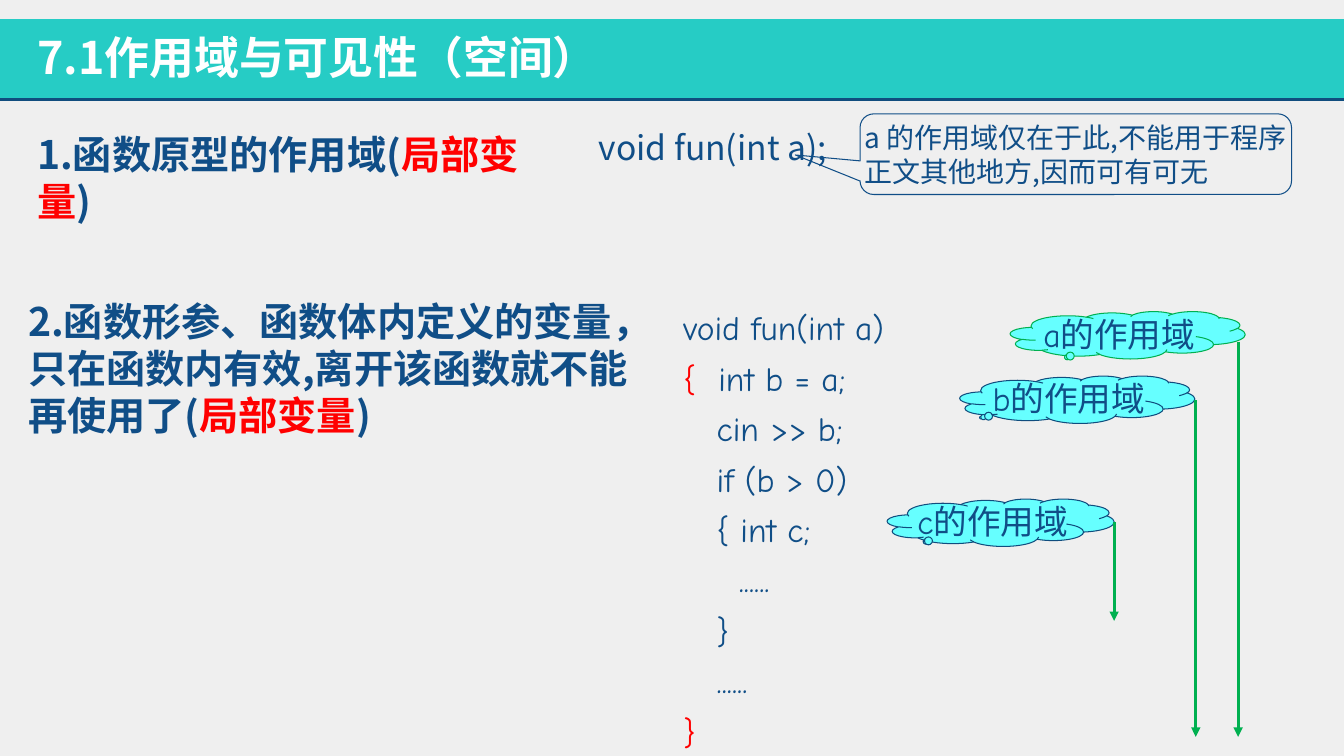
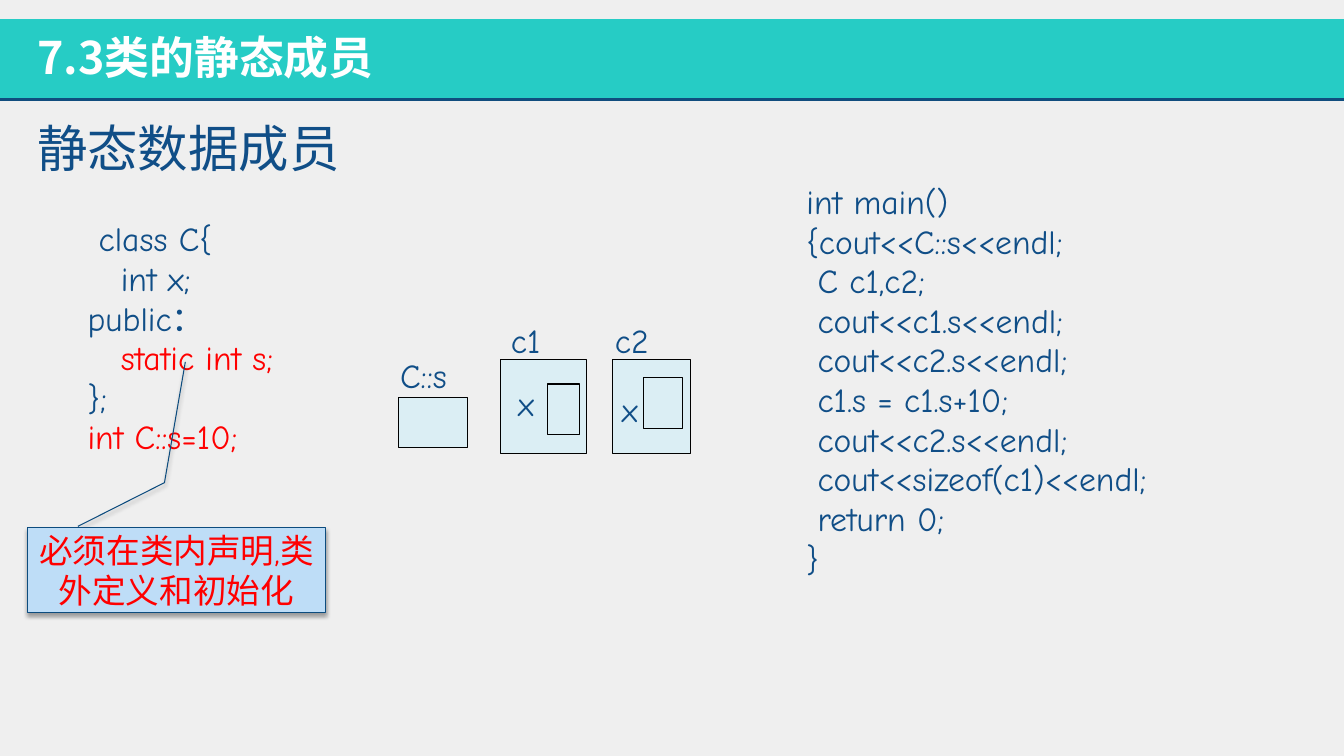
from dataclasses import dataclass

from lxml.etree import SubElement
from pptx import Presentation
from pptx.dml.color import RGBColor
from pptx.enum.shapes import MSO_CONNECTOR, MSO_SHAPE
from pptx.enum.text import MSO_ANCHOR, PP_ALIGN
from pptx.oxml.ns import qn
from pptx.util import Inches, Pt


@dataclass(frozen=True)
class Theme:
    # Colours
    background: str = "EFEFEF"
    band: str = "26CCC5"
    rule: str = "104D7E"
    ink: str = "104E87"
    accent: str = "FF0000"
    title_ink: str = "FFFFFF"
    cloud: str = "66FFFF"
    scope: str = "00B050"
    memory: str = "DBEEF4"
    memory_edge: str = "000000"
    note: str = "BEDDF7"
    note_edge: str = "0D4C7E"
    # Fonts
    sans: str = "Noto Sans CJK JP"
    hand: str = "Comic Neue"
    # Sizes in points
    title: int = 32
    topic: int = 36
    point: int = 28
    body: int = 24
    remark: int = 20
    hairline: float = 0.75
    # Width of one code indent step, in inches
    indent: float = 0.11


class Deck:
    """Holds the style and the slide being built."""

    def __init__(self, theme):
        self.theme = theme
        self.prs = Presentation()
        self.prs.slide_width, self.prs.slide_height = Inches(13.33), Inches(7.5)
        self.slide = None

    def new_slide(self, title):
        t = self.theme
        self.slide = self.prs.slides.add_slide(self.prs.slide_layouts[6])
        fill = self.slide.background.fill
        fill.solid()
        fill.fore_color.rgb = RGBColor.from_string(t.background)
        self.shape(MSO_SHAPE.RECTANGLE, (0, 0.19, 13.33, 0.8), t.band)
        self.line((0, 0.99), (13.33, 0.99), t.rule, 2)
        self.text((0.27, 0.25, 8.78, 0.64), [(title, t.title_ink)],
                  t.title, t.sans, bold=True)

    def add_runs(self, paragraph, runs, size, font, bold=False):
        """Each run is a text and its colour."""
        for words, colour in runs:
            run = paragraph.add_run()
            run.text = words
            run.font.size, run.font.bold, run.font.name = Pt(size), bold, font
            run.font.color.rgb = RGBColor.from_string(colour)
            east_asian = SubElement(run.font._element, qn("a:ea"))
            east_asian.set("typeface", self.theme.sans)

    def frame(self, box):
        frame = self.slide.shapes.add_textbox(*map(Inches, box)).text_frame
        frame.word_wrap = True
        return frame

    def text(self, box, runs, size, font, bold=False):
        self.add_runs(self.frame(box).paragraphs[0], runs, size, font, bold)

    def code(self, box, lines, spacing, before=0):
        """Each line is its indent steps followed by its runs."""
        frame = self.frame(box)
        for number, (steps, *runs) in enumerate(lines):
            paragraph = frame.add_paragraph() if number else frame.paragraphs[0]
            paragraph.line_spacing = spacing
            paragraph.space_before = Pt(before)
            left = Inches(steps * self.theme.indent)
            paragraph._p.get_or_add_pPr().set("marL", str(left))
            self.add_runs(paragraph, runs, self.theme.body, self.theme.hand)

    def shape(self, kind, box, fill=None, edge=None, adjust=()):
        shape = self.slide.shapes.add_shape(kind, *map(Inches, box))
        shape.shadow.inherit = False
        for index, value in enumerate(adjust):
            shape.adjustments[index] = value
        if fill:
            shape.fill.solid()
            shape.fill.fore_color.rgb = RGBColor.from_string(fill)
        else:
            shape.fill.background()
        if edge:
            shape.line.color.rgb = RGBColor.from_string(edge)
            shape.line.width = Pt(self.theme.hairline)
        else:
            shape.line.fill.background()
        return shape

    def label(self, shape, runs, size, font, align=PP_ALIGN.CENTER, wrap=True):
        frame = shape.text_frame
        frame.word_wrap = wrap
        frame.vertical_anchor = MSO_ANCHOR.MIDDLE
        frame.paragraphs[0].alignment = align
        self.add_runs(frame.paragraphs[0], runs, size, font)

    def line(self, start, end, colour, width, arrow=False):
        line = self.slide.shapes.add_connector(
            MSO_CONNECTOR.STRAIGHT, *map(Inches, (*start, *end)))
        line.line.color.rgb = RGBColor.from_string(colour)
        line.line.width = Pt(width)
        if arrow:
            SubElement(line.line._get_or_add_ln(), qn("a:tailEnd")).set("type", "triangle")
        SubElement(line._element.spPr, qn("a:effectLst"))

    def scope(self, name, cloud_box, edge, pointer, start, end):
        """A cloud naming a variable and the arrow over its scope."""
        t = self.theme
        cloud = self.shape(MSO_SHAPE.CLOUD_CALLOUT, cloud_box, t.cloud, edge, pointer)
        self.label(cloud, [(name + "的作用域", t.ink)], t.body, t.hand, wrap=False)
        self.line(start, end, t.scope, 2.25, arrow=True)

    def memory(self, box):
        self.shape(MSO_SHAPE.RECTANGLE, box, self.theme.memory, self.theme.memory_edge)

    def cast_shadow(self, shape):
        effects = shape._element.spPr.find(qn("a:effectLst"))
        shadow = SubElement(effects, qn("a:outerShdw"), blurRad=str(Pt(3.1)),
                            dist=str(Pt(1.8)), dir="5400000", rotWithShape="0")
        black = SubElement(shadow, qn("a:srgbClr"), val="000000")
        SubElement(black, qn("a:alpha"), val="35000")


def build_scope_slide(deck):
    t = deck.theme
    deck.new_slide("7.1作用域与可见性（空间）")

    # Scope of a function prototype
    deck.text((5.84, 1.21, 3.59, 0.5), [("void fun(int a);", t.ink)], t.body, t.sans)
    deck.text((0.27, 1.24, 5.44, 0.57),
              [("1.函数原型的作用域(", t.ink), ("局部变量", t.accent), (")", t.ink)],
              t.point, t.sans, bold=True)
    remark = deck.shape(MSO_SHAPE.ROUNDED_RECTANGULAR_CALLOUT, (8.53, 1.13, 4.28, 0.8),
                        edge=t.ink, adjust=(-0.65, 0.01, 0.17))
    remark.text_frame.margin_left = remark.text_frame.margin_right = 0
    deck.label(remark, [("a 的作用域仅在于此,不能用于程序正文其他地方,因而可有可无", t.ink)],
               t.remark, t.sans, PP_ALIGN.LEFT)

    # Scope of parameters and local variables
    deck.text((0.18, 2.9, 6.27, 1.51),
              [("2.函数形参、函数体内定义的变量，只在函数内有效,离开该函数就不能再使用了(", t.ink),
               ("局部变量", t.accent), (")", t.ink)],
              t.point, t.sans, bold=True)
    deck.code((6.68, 2.9, 6.77, 4.6), [
        (0, ("void fun(int a)", t.ink)),
        (0, ("{ ", t.accent), (" int b = a;", t.ink)),
        (3, ("cin >> b;", t.ink)),
        (3, ("if (b > 0)", t.ink)),
        (3, ("{ int c;", t.ink)),
        (5, ("......", t.ink)),
        (3, ("}", t.ink)),
        (3, ("......", t.ink)),
        (0, ("}", t.accent)),
    ], Pt(36))

    # Extent of each variable
    deck.scope("a", (10.02, 3.09, 2.33, 0.47), t.scope, (-0.26, 0.47),
               (12.28, 3.39), (12.28, 7.31))
    deck.scope("b", (9.52, 3.73, 2.33, 0.47), t.rule, (-0.41, 0.38),
               (11.86, 3.97), (11.86, 7.31))
    deck.scope("c", (8.8, 4.95, 2.25, 0.47), t.rule, (-0.33, 0.4),
               (11.05, 5.18), (11.05, 6.16))


def build_static_slide(deck):
    t = deck.theme
    deck.new_slide("7.3类的静态成员")
    deck.text((0.27, 1.11, 4.24, 0.71), [("静态数据成员", t.ink)], t.topic, t.hand)

    # Class definition
    deck.code((0.77, 2.16, 3.75, 2.48), [
        (1, ("class C{", t.ink)),
        (3, ("int x;", t.ink)),
        (0, ("public：", t.ink)),
        (3, ("static int s;", t.accent)),
        (0, ("};", t.ink)),
        (0, ("int C::s=10;", t.accent)),
    ], 0.9, 2.4)

    # Memory: the objects with their members, and the shared static member
    for box in ((4.96, 3.57, 0.86, 0.93), (5.43, 3.81, 0.32, 0.5),
                (6.07, 3.57, 0.78, 0.93), (6.38, 3.75, 0.39, 0.5),
                (3.95, 3.94, 0.69, 0.5)):
        deck.memory(box)
    for name, left, top, width in (("c1", 4.97, 3.12, 0.77), ("c2", 6, 3.12, 0.77),
                                   ("x", 5.04, 3.75, 0.39), ("x", 6.07, 3.81, 0.39),
                                   ("C::s", 3.87, 3.47, 0.85)):
        deck.text((left, top, width, 0.5), [(name, t.ink)], t.body, t.hand)

    # Program using the class
    program = [
        (0, "int main()"),
        (0, "{cout<<C::s<<endl;"),
        (1, "C c1,c2;"),
        (1, "cout<<c1.s<<endl;"),
        (1, "cout<<c2.s<<endl;"),
        (1, "c1.s = c1.s+10;"),
        (1, "cout<<c2.s<<endl;"),
        (1, "cout<<sizeof(c1)<<endl;"),
        (1, "return 0;"),
        (0, "}"),
    ]
    deck.code((7.9, 1.79, 3.75, 4.1),
              [(steps, (words, t.ink)) for steps, words in program], 0.9, 2.4)

    # Rule for static members
    rule = deck.shape(MSO_SHAPE.LINE_CALLOUT_2, (0.27, 5.23, 2.96, 0.85), t.note,
                      t.note_edge, (-0.01, 0.17, -0.52, 0.46, -1.93, 0.53))
    deck.cast_shadow(rule)
    deck.label(rule, [("必须在类内声明,类外定义和初始化", t.accent)], t.body, t.hand)


def main():
    deck = Deck(Theme())
    build_scope_slide(deck)
    build_static_slide(deck)
    deck.prs.save("out.pptx")


if __name__ == "__main__":
    main()
